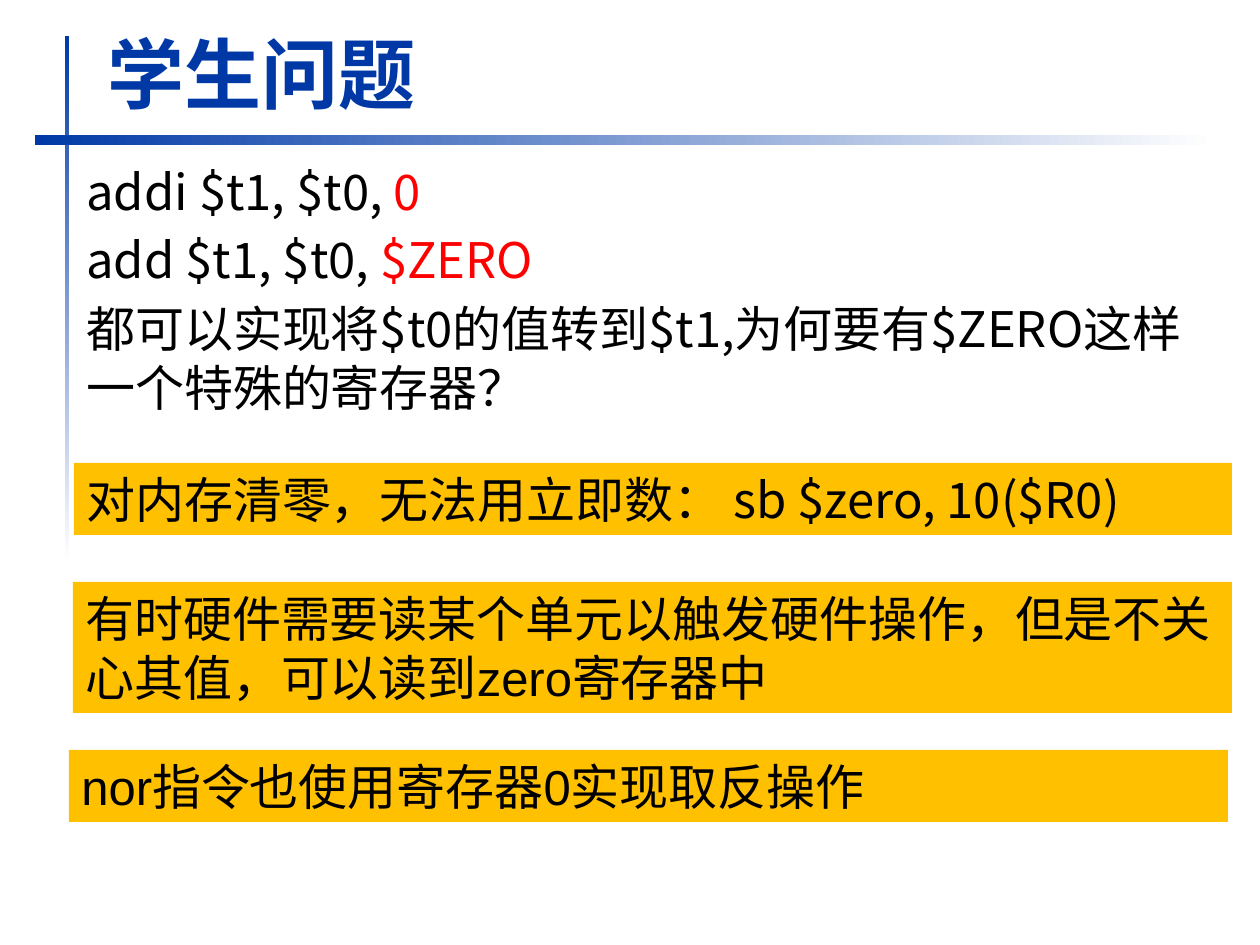
"""Builds the student question slide about the zero register."""
from lxml import etree
from pptx import Presentation
from pptx import util as u
from pptx.dml.color import RGBColor
from pptx.enum import shapes, text
from pptx.oxml.ns import qn

SCALE = 914400 / 126
COLORS = {"blue": "0039A6", "white": "FFFFFF", "black": "000000",
          "red": "FF0000", "amber": "FFC000"}
NOTO = "Noto Sans CJK SC"


def px(*values):
    return [u.Emu(round(v * SCALE)) for v in values]


def rgb(name):
    return RGBColor.from_string(COLORS[name])


def add_rect(s, box):
    sp = s.shapes.add_shape(shapes.MSO_SHAPE.RECTANGLE, *px(*box))
    sp.shadow.inherit = False
    sp.line.fill.background()
    return sp


def add_fade(s, box, angle):
    sp = add_rect(s, box)
    sp.fill.gradient()
    sp.fill.gradient_angle = angle
    for stop, name in zip(sp.fill.gradient_stops, ("blue", "white")):
        stop.color.rgb = rgb(name)


def style(r, size, font, color, bold=False):
    r.font.size = u.Pt(size)
    r.font.name = font
    r.font.bold = bold
    r.font.color.rgb = rgb(color)
    ea = etree.Element(qn("a:ea"), typeface=NOTO)
    r.font._element.find(qn("a:latin")).addnext(ea)


def write(sp, paragraphs, size=28, font=NOTO, bold=False,
          anchor=text.MSO_ANCHOR.TOP):
    tf = sp.text_frame
    tf.word_wrap = True
    tf.vertical_anchor = anchor
    for i, runs in enumerate(paragraphs):
        p = tf.add_paragraph() if i else tf.paragraphs[0]
        p.alignment = text.PP_ALIGN.LEFT
        if i:
            p.space_before = u.Pt(size * 0.2)
        for words, color in runs:
            r = p.add_run()
            r.text = words
            style(r, size, font, color, bold)


def add_text(s, box, paragraphs, **options):
    write(s.shapes.add_textbox(*px(*box)), paragraphs, **options)


def add_answer(s, box, words, font):
    sp = add_rect(s, box)
    sp.fill.solid()
    sp.fill.fore_color.rgb = rgb("amber")
    write(sp, [[(words, "black")]], font=font)


def main():
    prs = Presentation()
    prs.slide_width, prs.slide_height = px(1260, 945)
    s = prs.slides.add_slide(prs.slide_layouts[6])
    add_fade(s, (65, 36, 4, 525), 270)
    add_fade(s, (35, 135, 1180, 10), 0)
    add_text(s, (95, 20, 1138, 105), [[("学生问题", "blue")]], size=44,
             font="Arial", bold=True, anchor=text.MSO_ANCHOR.BOTTOM)
    add_text(s, (74, 155, 1159, 277), [
        [("addi $t1, $t0, ", "black"), ("0", "red")],
        [("add $t1, $t0, ", "black"), ("$ZERO", "red")],
        [("都可以实现将$t0的值转到$t1,为何要有$ZERO这样一个特殊的寄存器？", "black")],
    ])
    answers = [
        ((74, 463, 1158, 72), "对内存清零，无法用立即数： sb $zero, 10($R0)", NOTO),
        ((73, 582, 1159, 131),
         "有时硬件需要读某个单元以触发硬件操作，但是不关心其值，可以读到zero寄存器中", "Arial"),
        ((69, 750, 1159, 72), "nor指令也使用寄存器0实现取反操作", "Arial"),
    ]
    for box, words, font in answers:
        add_answer(s, box, words, font)
    prs.save("out.pptx")


if __name__ == "__main__":
    main()
